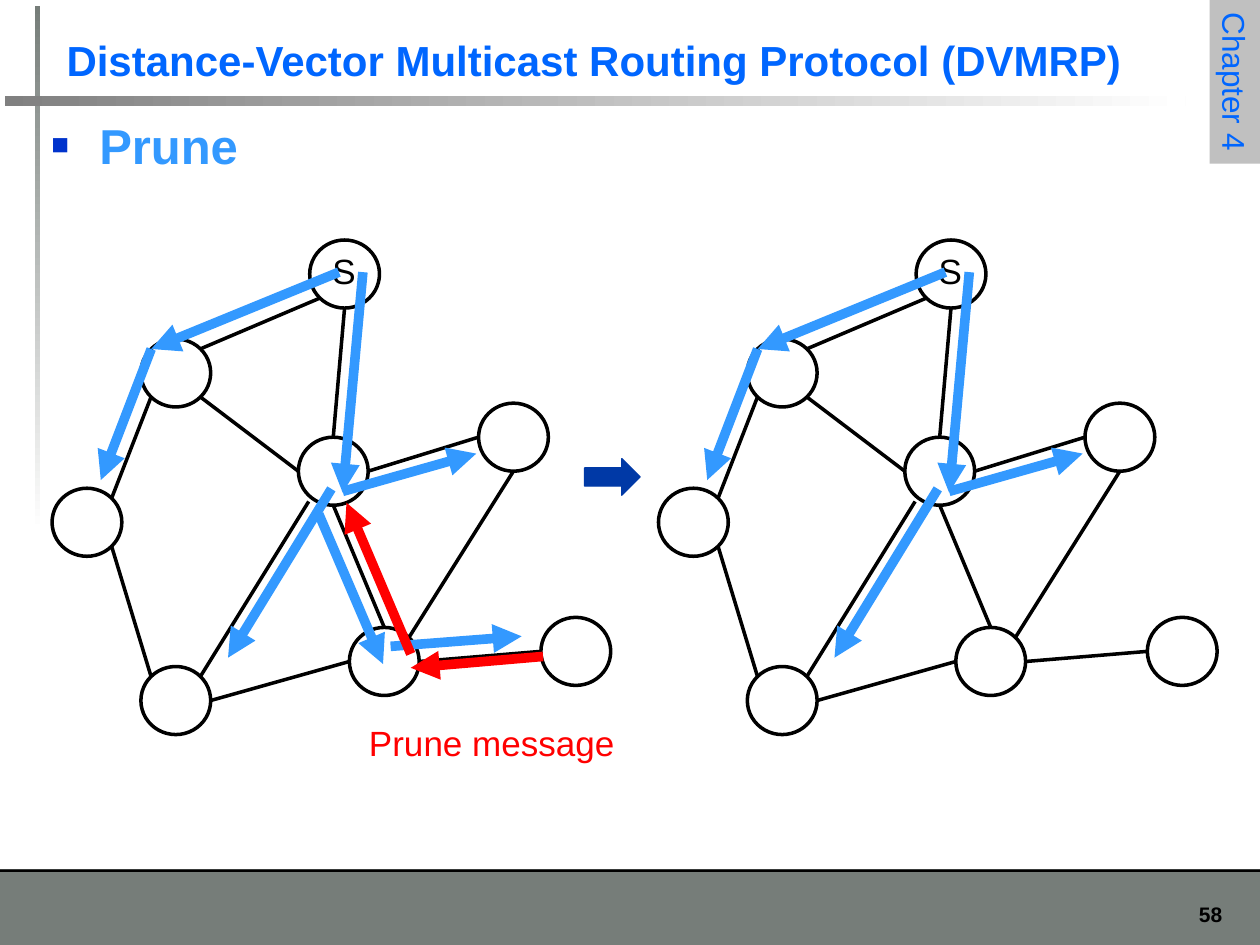
import math

import lxml.etree
import pptx
import pptx.dml.color
import pptx.enum.shapes
import pptx.enum.text
import pptx.oxml
import pptx.oxml.ns
import pptx.util

COLORS = {
    "black": "000000", "white": "FFFFFF", "gray": "808080", "footer": "767D79",
    "tab": "C0C0C0", "title": "0066FF", "flow": "3399FF", "prune": "FF0000",
    "bullet": "0033CC", "step": "0039A6",
}
SHAPES = pptx.enum.shapes.MSO_SHAPE
ANCHOR = pptx.enum.text.MSO_ANCHOR
ALIGN = pptx.enum.text.PP_ALIGN
qn = pptx.oxml.ns.qn
rgb = {name: pptx.dml.color.RGBColor.from_string(code) for name, code in COLORS.items()}

# The slide is a grid of 100 columns by 75 rows.
CELL = pptx.util.Inches(0.1)
COLUMNS, ROWS = 100, 75

deck = pptx.Presentation()
deck.slide_width, deck.slide_height = COLUMNS * CELL, ROWS * CELL
slide = deck.slides.add_slide(deck.slide_layouts[6])


def add_block(box, kind=SHAPES.RECTANGLE, fill=None, fade=None, line=None, width=2,
              text="", size=18, color="black", bold=False, wrap=True):
    """Place a shape at box (left, top, width, height in cells), with optional text.

    fade is the angle of a gradient that runs from fill to white.
    """
    block = slide.shapes.add_shape(kind, *(round(n * CELL) for n in box))
    block.shadow.inherit = False
    if fade is not None:
        block.fill.gradient()
        block.fill.gradient_angle = fade
        for stop, name in zip(block.fill.gradient_stops, (fill, "white")):
            stop.color.rgb = rgb[name]
    elif fill:
        block.fill.solid()
        block.fill.fore_color.rgb = rgb[fill]
    else:
        block.fill.background()
    if line:
        block.line.color.rgb = rgb[line]
        block.line.width = pptx.util.Pt(width)
    else:
        block.line.fill.background()
    if text:
        frame = block.text_frame
        frame.word_wrap = wrap
        frame.vertical_anchor = ANCHOR.TOP
        paragraph = frame.paragraphs[0]
        paragraph.text = text
        paragraph.alignment = ALIGN.LEFT
        paragraph.font.name = "Arial"
        paragraph.font.size = pptx.util.Pt(size)
        paragraph.font.bold = bold
        paragraph.font.color.rgb = rgb[color]
    return block


def add_link(start, end, color="black", width=2, arrow=False):
    link = slide.shapes.add_connector(
        pptx.enum.shapes.MSO_CONNECTOR.STRAIGHT,
        *(round(n * CELL) for n in (*start, *end)))
    link.line.color.rgb = rgb[color]
    link.line.width = pptx.util.Pt(width)
    if arrow:
        lxml.etree.SubElement(link.line._get_or_add_ln(), qn("a:tailEnd"), type="triangle")
    lxml.etree.SubElement(link._element.spPr, qn("a:effectLst"))


# Frame of the slide
add_block((0, 69, COLUMNS, 6), fill="footer")
add_block((0, 69, COLUMNS, 0.2), fill="black")
page = add_block((91.7, 71.1, 6.3, 3), text="58", size=12, bold=True)
page.text_frame.paragraphs[0].alignment = ALIGN.RIGHT
add_block((2.8, 0.5, 0.4, 41.7), fill="footer", fade=270)
add_block((0.4, 7.6, 93.7, 0.8), fill="gray", fade=0)
chapter = add_block((91.5, 4.5, 13, 4), fill="tab", text="Chapter 4", color="title", wrap=False)
chapter.rotation = 90

# Title and topic
title = add_block((4.3, 2.1, 90.6, 5.1), size=24, color="title", bold=True,
                  text="Distance-Vector Multicast Routing Protocol (DVMRP)")
title.text_frame.vertical_anchor = ANCHOR.BOTTOM

topic = add_block((3.1, 10, 95.6, 5.7), text="Prune", size=28, color="flow", bold=True)
topic_line = topic.text_frame.paragraphs[0]
topic_line.line_spacing = pptx.util.Pt(24)
properties = topic_line._p.get_or_add_pPr()
indent = pptx.util.Inches(0.38)
properties.set("marL", str(indent))
properties.set("indent", str(-indent))
bullet = pptx.oxml.parse_xml(
    f'<a:bullet {pptx.oxml.ns.nsdecls("a")}>'
    f'<a:buClr><a:srgbClr val="{COLORS["bullet"]}"/></a:buClr>'
    '<a:buSzPct val="60000"/><a:buFont typeface="Arial"/><a:buChar char="■"/></a:bullet>')
for position, part in enumerate(list(bullet)):
    properties.insert(1 + position, part)  # line spacing comes first

# Network: router centres, and links between compass points on their rims
RADIUS_X, RADIUS_Y = 2.77, 2.7
routers = {
    "source": (27.35, 21.75), "northwest": (13.95, 29.6), "east": (40.75, 34.7),
    "west": (6.9, 41.45), "hub": (26.45, 37.4), "leaf": (45.7, 51.7),
    "southwest": (13.95, 55.6), "south": (30.5, 52.5),
}
compass = {"E": 0, "SE": 45, "S": 90, "SW": 135, "W": 180, "NW": 225, "N": 270, "NE": 315}
links = [
    ("source", "SW", "northwest", "NE"), ("source", "S", "hub", "N"),
    ("hub", "W", "northwest", "SE"), ("west", "NE", "northwest", "SW"),
    ("east", "W", "hub", "E"), ("hub", "S", "south", "N"),
    ("west", "SE", "southwest", "NW"), ("east", "S", "south", "NE"),
    ("leaf", "W", "south", "E"), ("south", "W", "southwest", "E"),
    ("hub", "SW", "southwest", "NE"),
]
rim = {
    (router, point): (x + RADIUS_X * math.cos(math.radians(angle)),
                      y + RADIUS_Y * math.sin(math.radians(angle)))
    for router, (x, y) in routers.items() for point, angle in compass.items()
}
rim["hub", "SW"] = (24.5, 39.8)  # this link stops just short of the hub

kept_flows = [
    ((26.9, 21.6), (12, 27.7)), ((28.8, 21.6), (27.2, 39.1)),
    ((12, 27.7), (8, 38.1)), ((27.2, 39), (37.8, 36)), ((26.3, 38.8), (18.1, 52.2)),
]
pruned_flows = [((25.3, 40.8), (30.4, 52.7)), ((31, 51.3), (41.4, 50.5))]
prune_messages = [((43.1, 52.1), (32.6, 53)), ((32.6, 51.9), (27.5, 39.9))]

before = [(flow, "flow") for flow in kept_flows + pruned_flows]
before += [(message, "prune") for message in prune_messages]
after = [(flow, "flow") for flow in kept_flows]

for shift, arrows in ((0, before), (48.13, after)):
    for router, (x, y) in routers.items():
        circle = add_block(
            (x + shift - RADIUS_X, y - RADIUS_Y, 2 * RADIUS_X, 2 * RADIUS_Y),
            kind=SHAPES.OVAL, line="black", size=20,
            text="S" if router == "source" else "")
        if router == "source":
            circle.text_frame.paragraphs[0].line_spacing = pptx.util.Pt(20)
    for first, first_point, second, second_point in links:
        (x1, y1), (x2, y2) = rim[first, first_point], rim[second, second_point]
        add_link((x1 + shift, y1), (x2 + shift, y2))
    for ((x1, y1), (x2, y2)), color in arrows:
        add_link((x1 + shift, y1), (x2 + shift, y2), color, width=5.5, arrow=True)

# Legend and the step from before to after
add_block((28.3, 56.8, 21.5, 4.4), text="Prune message", size=20, color="prune", wrap=False)
add_block((46.4, 36.4, 4.4, 2.9), kind=SHAPES.RIGHT_ARROW, fill="step", line="step", width=0.75)

deck.save("out.pptx")
